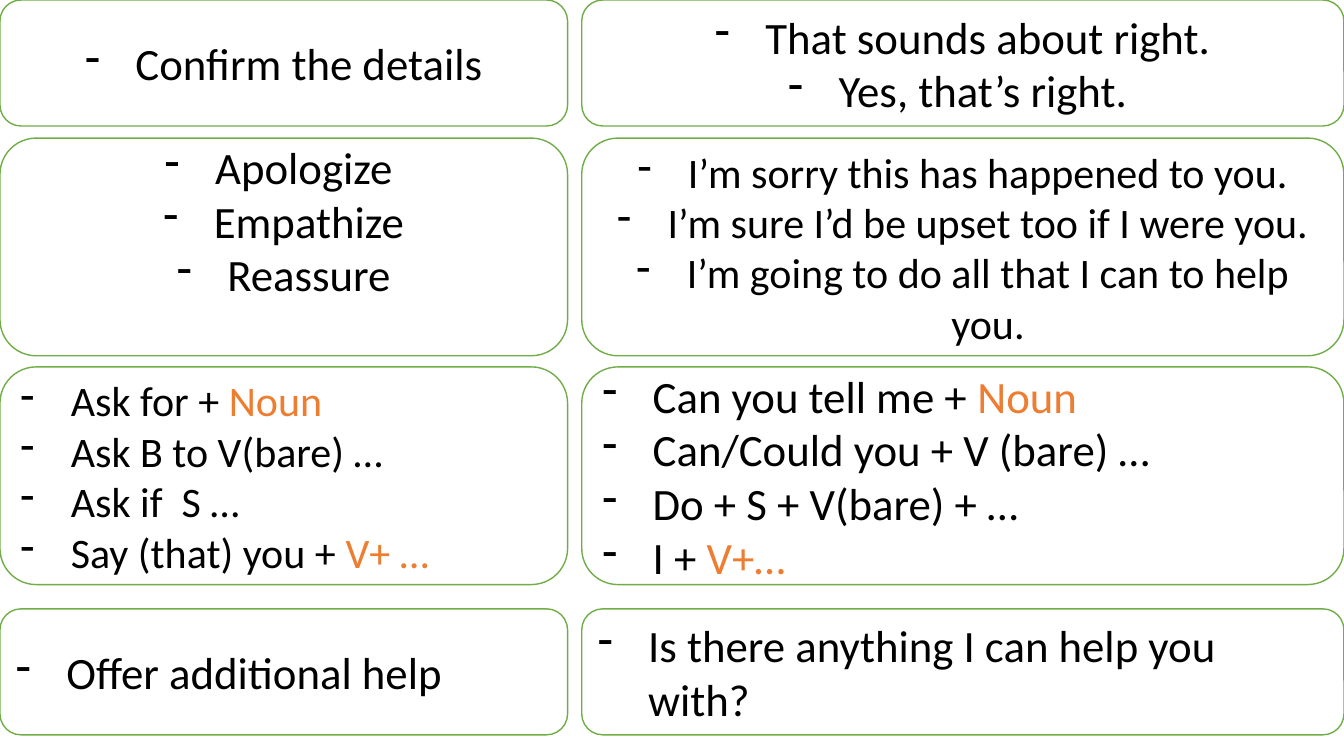
"""Build a slide of paired boxes: call steps on the left, phrases on the right."""
from lxml import etree
from pptx import Presentation
from pptx.dml.color import RGBColor
from pptx.enum import shapes, text
from pptx.oxml.ns import qn
from pptx.util import Inches, Pt

WHITE = RGBColor(0xFF, 0xFF, 0xFF)
BLACK = RGBColor(0, 0, 0)
GREEN = RGBColor(0x70, 0xAD, 0x47)
ORANGE = RGBColor(0xED, 0x7D, 0x31)
CENTER = text.PP_ALIGN.CENTER
JUSTIFY = text.PP_ALIGN.JUSTIFY
LEFT = text.PP_ALIGN.LEFT

COLUMNS = [(0, 5.63), (5.77, 7.56)]
ROWS = [
    (0, 1.25, [
        (CENTER, 32, [["Confirm the details"]]),
        (CENTER, 32, [["That sounds about right."], ["Yes, that’s right. "]]),
    ]),
    (1.37, 2.16, [
        (CENTER, 32, [["Apologize "], ["Empathize"], ["Reassure"]]),
        (CENTER, 30, [["I’m sorry this has happened to you."],
                      ["I’m sure I’d be upset too if I were you."],
                      ["I’m going to do all that I can to help you."]]),
    ]),
    (3.64, 2.16, [
        (JUSTIFY, 30, [["Ask for + ", "Noun"], ["Ask B to V(bare) …"],
                       ["Ask if  S …"], ["Say (that) you + ", "V+ …"]]),
        (LEFT, 32, [["Can you tell me + ", "Noun"], ["Can/Could you + V (bare) …"],
                    ["Do + S + V(bare) + …"], ["I + ", "V+…"]]),
    ]),
    (6.04, 1.25, [
        (JUSTIFY, 32, [["Offer additional help"]]),
        (LEFT, 32, [["Is there anything I can help you with?"]]),
    ]),
]

deck = Presentation()
deck.slide_width, deck.slide_height = Inches(13.33), Inches(7.5)
page = deck.slides.add_slide(deck.slide_layouts[6])

for top, height, cells in ROWS:
    for (left, width), (alignment, size, lines) in zip(COLUMNS, cells):
        box = page.shapes.add_shape(
            shapes.MSO_SHAPE.ROUNDED_RECTANGLE,
            Inches(left), Inches(top), Inches(width), Inches(height))
        box.shadow.inherit = False
        box.fill.solid()
        box.fill.fore_color.rgb = WHITE
        box.line.color.rgb = GREEN
        box.line.width = Pt(1)
        frame = box.text_frame
        frame.word_wrap = True
        frame.vertical_anchor = text.MSO_ANCHOR.MIDDLE
        if lines[0] == ["Apologize "]:
            frame.margin_bottom = Inches(0.58)
        for index, line in enumerate(lines):
            para = frame.add_paragraph() if index else frame.paragraphs[0]
            para.alignment = alignment
            properties = para._p.get_or_add_pPr()
            properties.set("marL", str(Inches(0.5)))
            properties.set("indent", str(Inches(-0.5)))
            etree.SubElement(properties, qn("a:buChar")).set("char", "-")
            para.font.name = "Calibri"
            para.font.size = Pt(size)
            for words, color in zip(line, (BLACK, ORANGE)):
                span = para.add_run()
                span.text = words
                span.font.color.rgb = color

deck.save("out.pptx")
